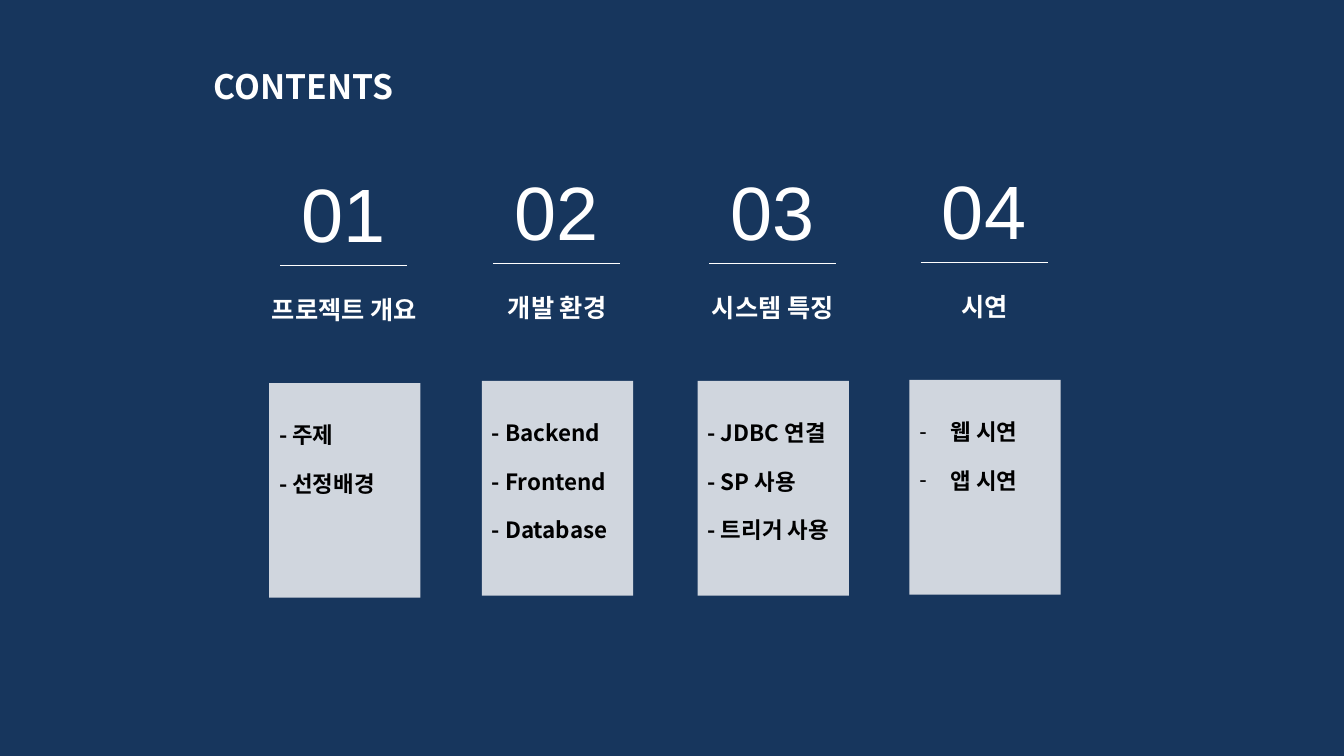
from dataclasses import dataclass

from lxml.etree import SubElement
from pptx import Presentation
from pptx.dml.color import RGBColor
from pptx.enum.shapes import MSO_CONNECTOR, MSO_SHAPE
from pptx.enum.text import PP_ALIGN
from pptx.oxml import parse_xml
from pptx.oxml.ns import nsdecls, qn
from pptx.shapes.shapetree import GroupShapes
from pptx.text.text import _Paragraph as Paragraph
from pptx.util import Inches, Pt

NAVY, WHITE, BLACK = "17365D", "FFFFFF", "000000"
KOREAN_FONT, NUMBER_FONT = "Noto Sans CJK KR", "Arial"
CARD_WIDTH, CARD_HEIGHT = 1.5, 2.13
ITEM_GAP = 15.4


@dataclass(frozen=True)
class TextStyle:
    size: float
    color: str = WHITE
    font: str = KOREAN_FONT
    bold: bool = True
    align: PP_ALIGN = PP_ALIGN.LEFT


@dataclass(frozen=True)
class Section:
    """One column; left and top are the corner of its card."""
    number: str
    heading: str
    items: tuple[str, ...]
    left: float
    top: float
    items_width: float = CARD_WIDTH
    bulleted: bool = False


TITLE = TextStyle(24)
NUMBER = TextStyle(54, font=NUMBER_FONT, bold=False, align=PP_ALIGN.CENTER)
HEADING = TextStyle(18, align=PP_ALIGN.CENTER)
ITEM = TextStyle(16, color=BLACK)

SECTIONS = (
    Section("01", "프로젝트 개요", ("- 주제", "- 선정배경"), 2.67, 3.8),
    Section("02", "개발 환경", ("- Backend", "- Frontend", "- Database"), 4.78, 3.78),
    Section("03", "시스템 특징", ("- JDBC 연결", "- SP 사용", "- 트리거 사용"),
            6.92, 3.78, items_width=1.61),
    Section("04", "시연", ("웹 시연", "앱 시연"), 9.02, 3.77,
            items_width=1.65, bulleted=True),
)


def rgb(color: str) -> RGBColor:
    return RGBColor.from_string(color)


def style_paragraph(paragraph: Paragraph, style: TextStyle) -> None:
    paragraph.alignment = style.align
    font = paragraph.font
    font.size, font.bold, font.name = Pt(style.size), style.bold, style.font
    font.color.rgb = rgb(style.color)
    defaults = paragraph._p.pPr.find(qn("a:defRPr"))
    SubElement(defaults, qn("a:ea")).set("typeface", style.font)


def add_dash_bullet(paragraph: Paragraph) -> None:
    properties = paragraph._p.get_or_add_pPr()
    indent = Inches(0.31)
    properties.set("marL", str(indent))
    properties.set("indent", str(-indent))
    defaults = properties.find(qn("a:defRPr"))
    for xml in (
        f'<a:buClr {nsdecls("a")}><a:srgbClr val="{BLACK}"/></a:buClr>',
        f'<a:buFont {nsdecls("a")} typeface="{NUMBER_FONT}"/>',
        f'<a:buChar {nsdecls("a")} char="-"/>',
    ):
        defaults.addprevious(parse_xml(xml))


def add_text(shapes: GroupShapes, lines: tuple[str, ...], style: TextStyle,
             left: float, top: float, width: float, height: float,
             bulleted: bool = False) -> None:
    box = shapes.add_textbox(Inches(left), Inches(top), Inches(width), Inches(height))
    frame = box.text_frame
    frame.word_wrap = True
    frame.text = "\n".join(lines)
    for index, paragraph in enumerate(frame.paragraphs):
        style_paragraph(paragraph, style)
        if index:
            paragraph.space_before = Pt(ITEM_GAP)
        if bulleted:
            add_dash_bullet(paragraph)


def add_rule(shapes: GroupShapes, left: float, top: float, width: float) -> None:
    rule = shapes.add_connector(MSO_CONNECTOR.STRAIGHT, Inches(left), Inches(top),
                                Inches(left + width), Inches(top))
    rule.line.color.rgb = rgb(WHITE)
    rule.line.width = Pt(0.75)
    SubElement(rule._element.spPr, qn("a:effectLst"))


def add_card(shapes: GroupShapes, left: float, top: float) -> None:
    """Add a white rectangle at 80 % opacity."""
    card = shapes.add_shape(MSO_SHAPE.RECTANGLE, Inches(left), Inches(top),
                            Inches(CARD_WIDTH), Inches(CARD_HEIGHT))
    card.shadow.inherit = False
    card.line.fill.background()
    card.fill.solid()
    card.fill.fore_color.rgb = rgb(WHITE)
    color = card._element.spPr.find(qn("a:solidFill")).find(qn("a:srgbClr"))
    SubElement(color, qn("a:alpha")).set("val", "80000")


def add_section(shapes: GroupShapes, section: Section) -> None:
    left, top = section.left, section.top
    add_text(shapes, (section.number,), NUMBER, left - 0.06, top - 2.19, 1.6, 1.01)
    add_rule(shapes, left + 0.11, top - 1.17, 1.26)
    add_text(shapes, (section.heading,), HEADING, left - 0.16, top - 0.93, 1.81, 0.4)
    add_card(shapes, left, top)
    add_text(shapes, section.items, ITEM, left, top + 0.33,
             section.items_width, 0.91, section.bulleted)


def main() -> None:
    presentation = Presentation()
    presentation.slide_width = Inches(13.33)
    presentation.slide_height = Inches(7.5)
    slide = presentation.slides.add_slide(presentation.slide_layouts[6])
    slide.background.fill.solid()
    slide.background.fill.fore_color.rgb = rgb(NAVY)

    add_text(slide.shapes, ("CONTENTS",), TITLE, 2.02, 0.6, 4.57, 0.5)
    for section in SECTIONS:
        add_section(slide.shapes.add_group_shape().shapes, section)
    presentation.save("out.pptx")


if __name__ == "__main__":
    main()
